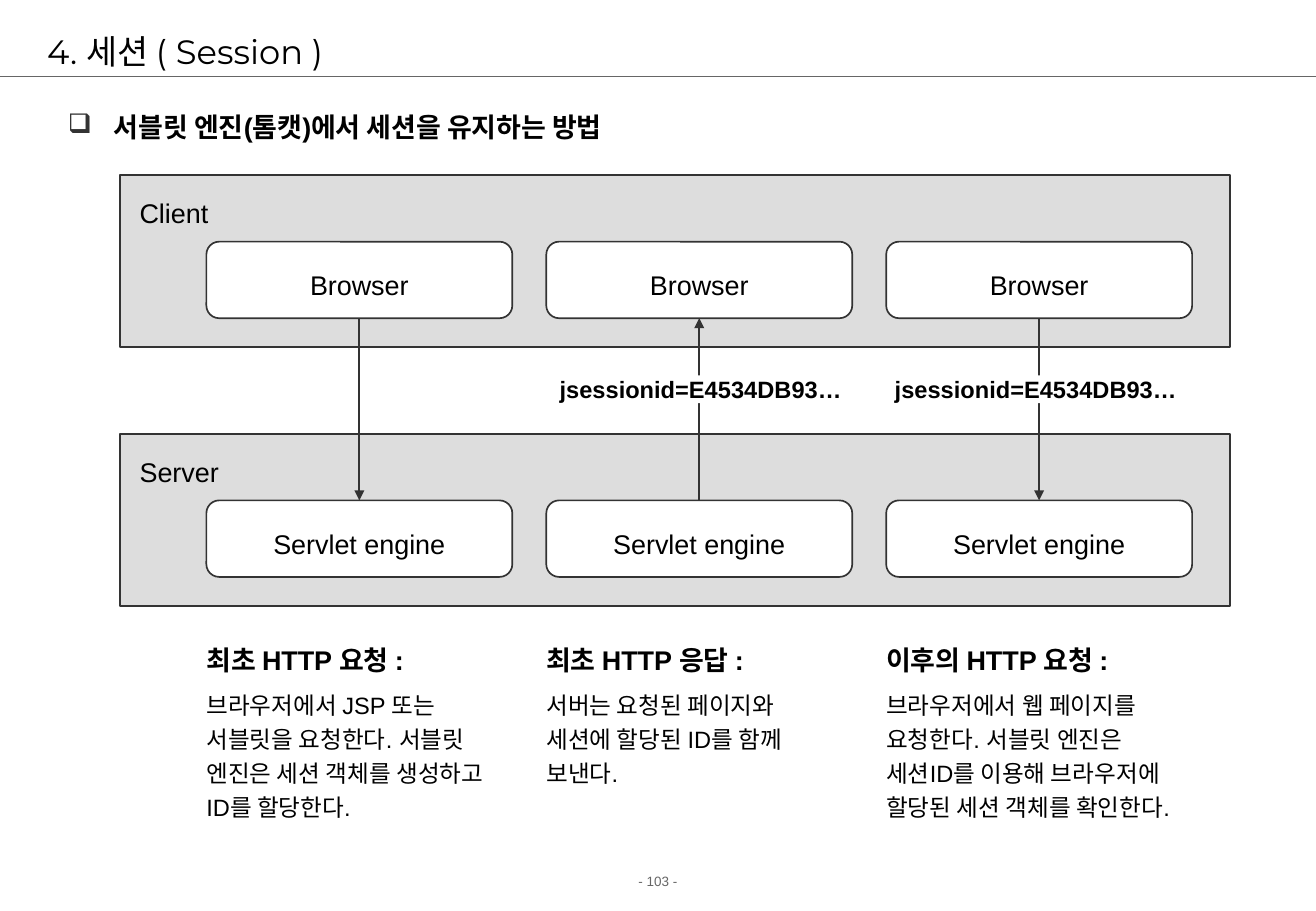
"""Build the slide on how a servlet engine keeps a session."""
from copy import deepcopy

from lxml.etree import SubElement
from pptx import Presentation
from pptx.dml.color import RGBColor
from pptx.enum.shapes import MSO_CONNECTOR as CONNECTOR, MSO_SHAPE as SHAPE
from pptx.enum.text import MSO_ANCHOR as ANCHOR, PP_ALIGN as ALIGN
from pptx.oxml.ns import qn
from pptx.util import Inches, Pt

TITLE = "4. 세션 ( Session )"
HEADING = "서블릿 엔진(톰캣)에서 세션을 유지하는 방법"
PAGE = "- 103 -"
BANDS = [("Client", "Browser", 1.44), ("Server", "Servlet engine", 3.57)]
STEPS = [
    ("최초 HTTP 요청 :",
     "브라우저에서 JSP 또는\n서블릿을 요청한다. 서블릿 엔진은 세션 객체를 생성하고 ID를 할당한다.",
     "down", 1.46),
    ("최초 HTTP 응답 :",
     "서버는 요청된 페이지와\n세션에 할당된 ID를 함께\n보낸다.",
     "up", 1.18),
    ("이후의 HTTP 요청 :",
     "브라우저에서 웹 페이지를\n요청한다. 서블릿 엔진은\n세션ID를 이용해 브라우저에 할당된 세션 객체를 확인한다.",
     "down", 1.46),
]
SESSION_ID = "jsessionid=E4534DB93…"
SESSION_LEFTS = [4.61, 7.37]

BLACK = RGBColor(0x00, 0x00, 0x00)
WHITE = RGBColor(0xFF, 0xFF, 0xFF)
DARK = RGBColor(0x33, 0x33, 0x33)
GRAY = RGBColor(0x66, 0x66, 0x66)
LIGHT = RGBColor(0xDD, 0xDD, 0xDD)

WIDTH, HEIGHT = 10.84, 7.5
COLUMN_LEFT, COLUMN_PITCH, BOX_WIDTH, BOX_HEIGHT = 1.7, 2.8, 2.52, 0.63
NO_INSET, INSET = (0, 0), (0.1, 0.05)


def write(paragraph, text, size, color=BLACK, bold=False, name="Arial", **layout):
    """Fill a paragraph and format its runs and line breaks."""
    paragraph.text = text
    for key, value in layout.items():
        setattr(paragraph, key, value)
    values = {"size": Pt(size), "bold": bold, "name": name}
    for run in paragraph.runs:
        for key, value in values.items():
            setattr(run.font, key, value)
        run.font.color.rgb = color
    for line_break in paragraph._p.findall(qn("a:br")):
        line_break.append(deepcopy(paragraph.runs[0]._r.rPr))


def prepare(shape, inset=NO_INSET, anchor=ANCHOR.TOP):
    """Set the frame of a shape and return its first paragraph."""
    across, down = map(Inches, inset)
    values = {"word_wrap": True, "vertical_anchor": anchor,
              "margin_left": across, "margin_right": across,
              "margin_top": down, "margin_bottom": down}
    for key, value in values.items():
        setattr(shape.text_frame, key, value)
    return shape.text_frame.paragraphs[0]


def add_box(slide, kind, area, fill, line_width=None):
    """Add a flat filled shape, outlined if a line width is given."""
    shape = slide.shapes.add_shape(kind, *map(Inches, area))
    shape.shadow.inherit = False
    shape.fill.solid()
    shape.fill.fore_color.rgb = fill
    if line_width:
        shape.line.color.rgb = DARK
        shape.line.width = Pt(line_width)
    else:
        shape.line.fill.background()
    return shape


def add_text(slide, area, inset=NO_INSET, anchor=ANCHOR.TOP):
    """Add a text box and return its first paragraph."""
    return prepare(slide.shapes.add_textbox(*map(Inches, area)), inset, anchor)


def add_line(slide, ends, color, width):
    """Add a straight connector without a shadow."""
    line = slide.shapes.add_connector(CONNECTOR.STRAIGHT, *map(Inches, ends))
    line.line.color.rgb = color
    line.line.width = Pt(width)
    SubElement(line._element.spPr, qn("a:effectLst"))
    return line


def add_arrow(slide, browser, engine, direction):
    """Join a browser and its engine with an arrow."""
    arrow = add_line(slide, (0, 0, 0, 0), DARK, 1.25)
    sites = [(browser, 2), (engine, 0)]
    start, end = sites if direction == "down" else reversed(sites)
    arrow.begin_connect(*start)
    arrow.end_connect(*end)
    SubElement(arrow.line._get_or_add_ln(), qn("a:tailEnd"), type="triangle")


def add_heading(slide):
    """Add the bulleted heading."""
    paragraph = add_text(slide, (0.46, 0.73, 9.92, 0.6), INSET)
    properties = paragraph._p.get_or_add_pPr()
    properties.set("marL", str(Inches(0.38)))
    properties.set("indent", str(-Inches(0.38)))
    color = SubElement(properties, qn("a:buClr"))
    SubElement(color, qn("a:srgbClr"), val=str(DARK))
    SubElement(properties, qn("a:buChar"), char="❑")
    write(paragraph, HEADING, 16, bold=True, line_spacing=1.5)


def main():
    presentation = Presentation()
    presentation.slide_width = Inches(WIDTH)
    presentation.slide_height = Inches(HEIGHT)
    slide = presentation.slides.add_slide(presentation.slide_layouts[6])

    write(add_text(slide, (0, 7.14, WIDTH, 0.24), INSET), PAGE, 8, GRAY,
          alignment=ALIGN.CENTER, line_spacing=1.01)
    add_line(slide, (0, 0.63, WIDTH, 0.63), GRAY, 0.75)
    write(add_text(slide, (0.29, 0.21, 10.17, 0.42), INSET, ANCHOR.MIDDLE),
          TITLE, 20, name="Montserrat")
    add_heading(slide)

    columns = [COLUMN_LEFT + COLUMN_PITCH * i for i in range(len(STEPS))]
    rows = []
    for band, node, top in BANDS:
        add_box(slide, SHAPE.RECTANGLE, (0.99, top, 9.14, 1.42), LIGHT, 1.25)
        write(add_text(slide, (1.15, top + 0.18, 1.81, 0.27)), band, 16)
        boxes = []
        for left in columns:
            area = (left, top + 0.55, BOX_WIDTH, BOX_HEIGHT)
            box = add_box(slide, SHAPE.ROUNDED_RECTANGLE, area, WHITE, 1)
            write(prepare(box, anchor=ANCHOR.MIDDLE), node, 16,
                  alignment=ALIGN.CENTER, line_spacing=1.3)
            boxes.append(box)
        rows.append(boxes)

    for left, browser, engine, step in zip(columns, *rows, STEPS):
        heading, body, direction, height = step
        add_arrow(slide, browser, engine, direction)
        paragraph = add_text(slide, (left, 5.3, BOX_WIDTH, height))
        write(paragraph, heading, 16, bold=True)
        write(paragraph._parent.add_paragraph(), body, 14,
              line_spacing=1.2, space_before=Pt(5.2))

    for left in SESSION_LEFTS:
        label = add_box(slide, SHAPE.RECTANGLE, (left, 3.09, BOX_WIDTH, 0.23), WHITE)
        write(prepare(label), SESSION_ID, 14, bold=True, alignment=ALIGN.LEFT)

    presentation.save("out.pptx")


if __name__ == "__main__":
    main()
